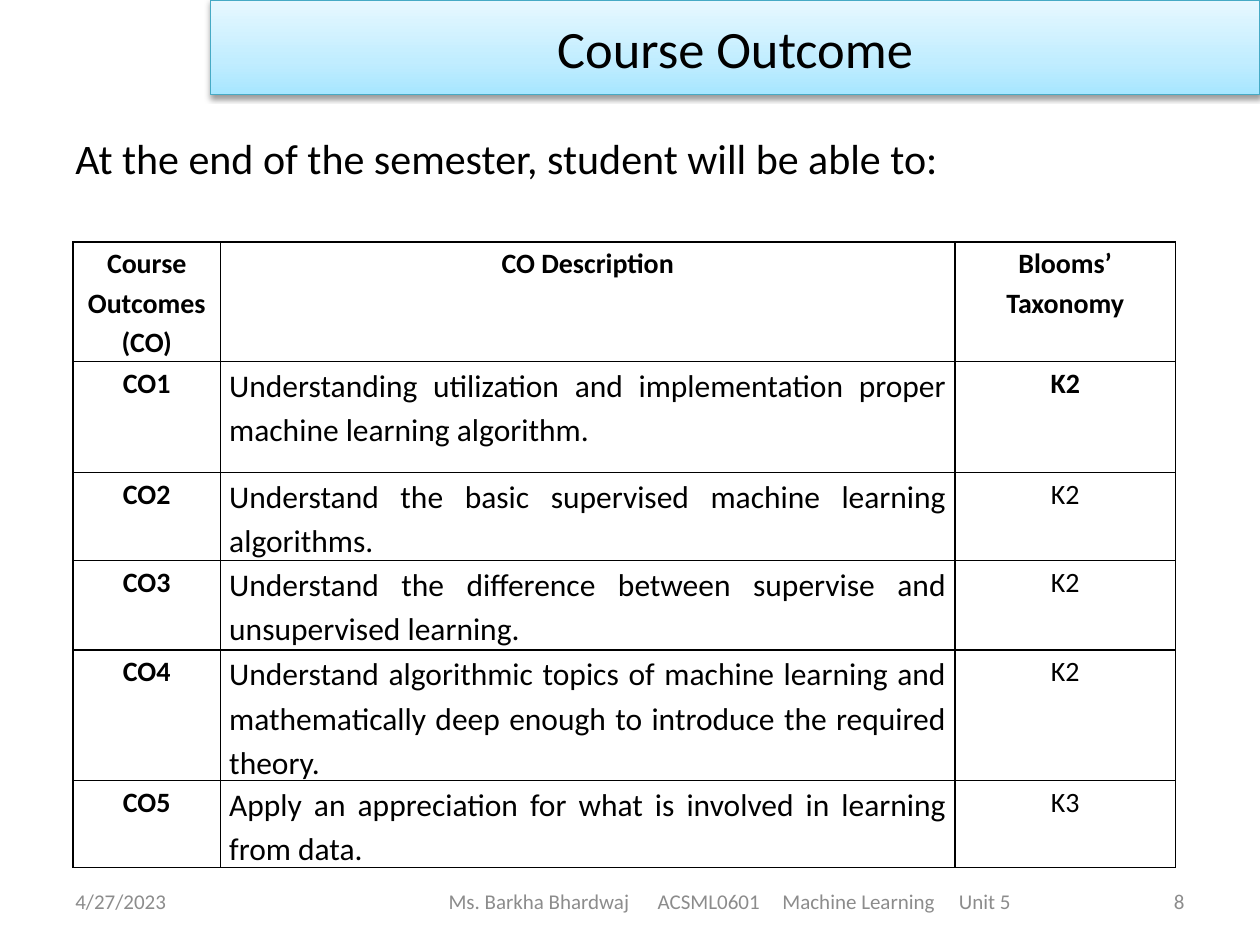
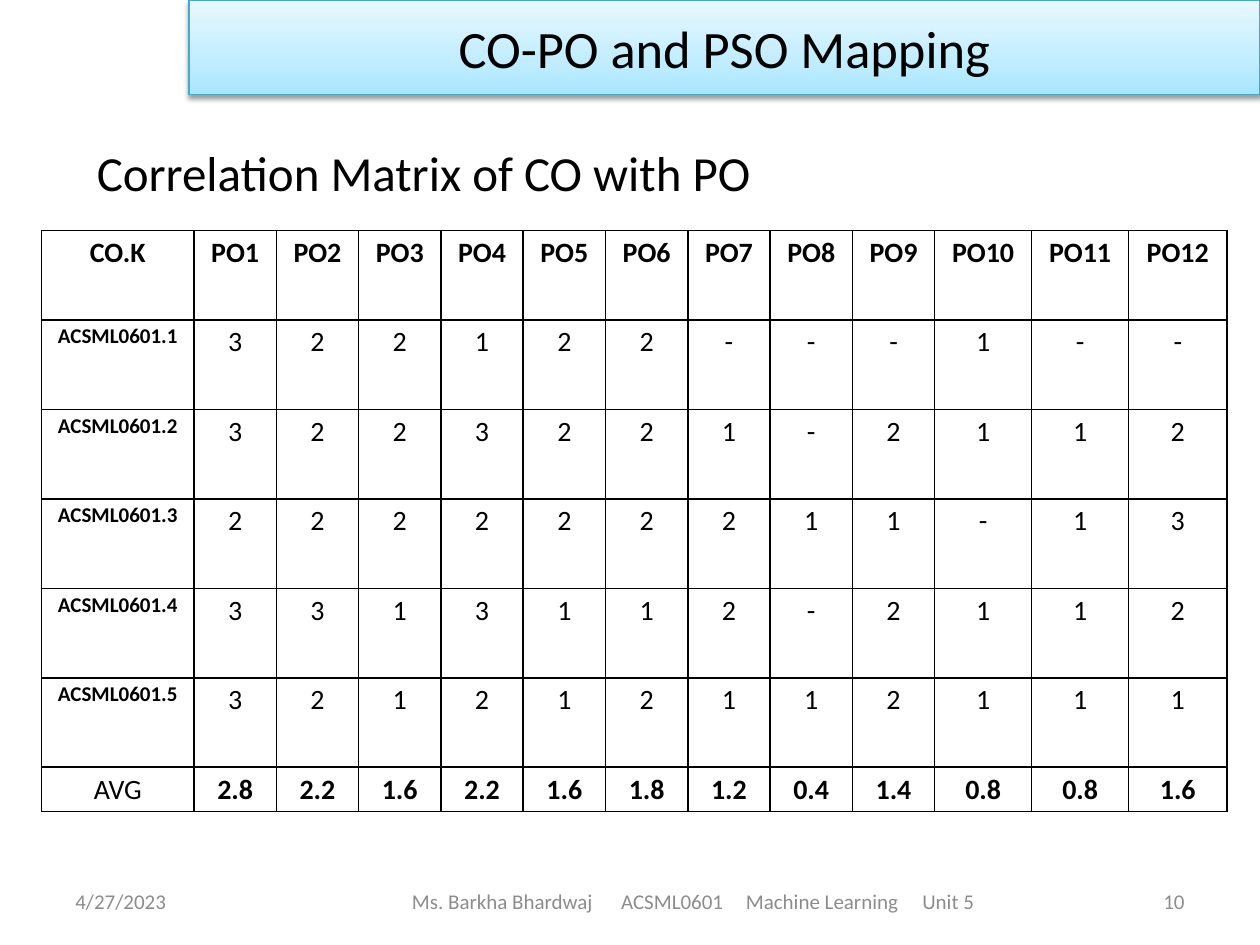
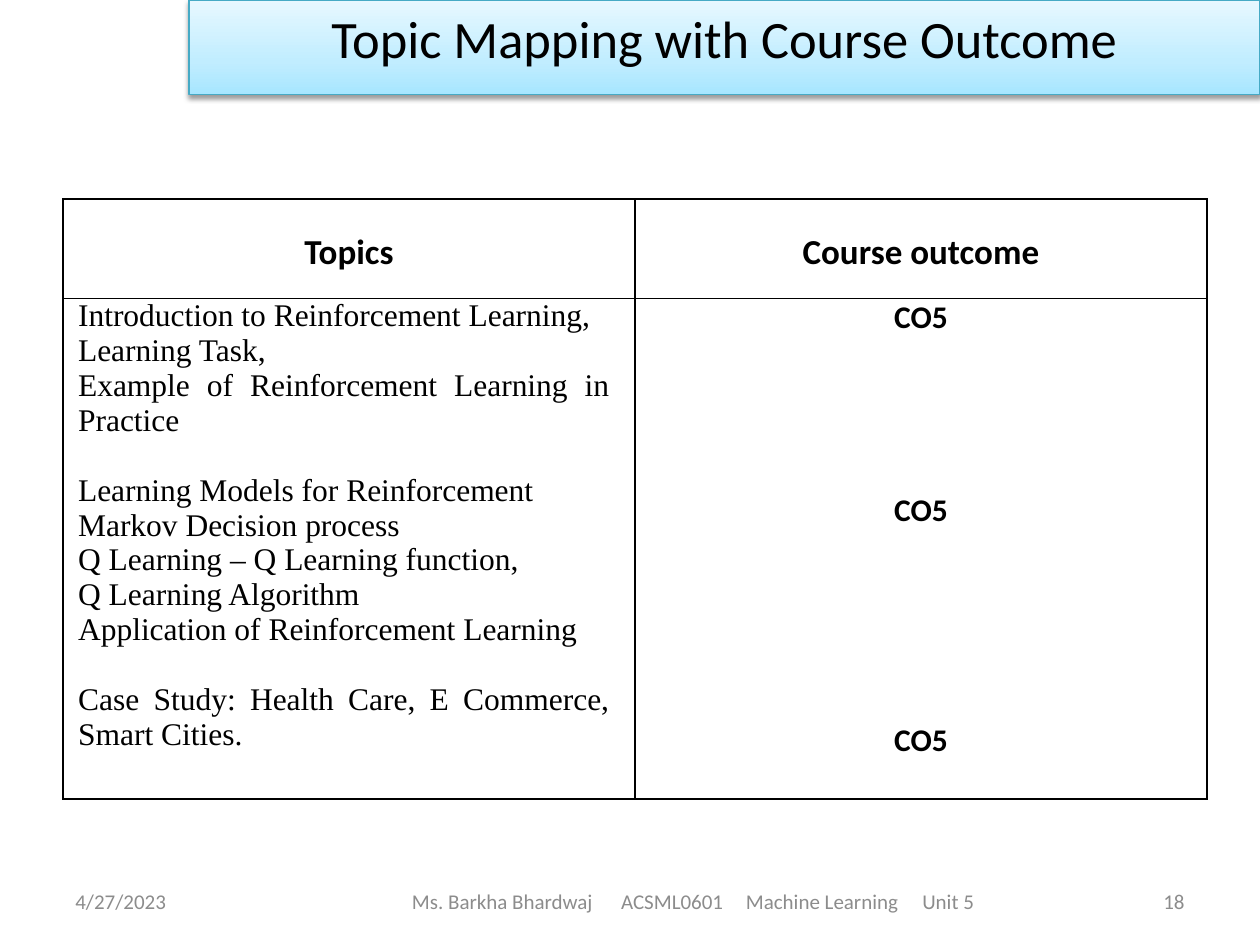
from copy import deepcopy
from dataclasses import dataclass

from lxml.etree import SubElement
from pptx import Presentation
from pptx.dml.color import RGBColor
from pptx.enum.shapes import MSO_SHAPE
from pptx.enum.text import MSO_ANCHOR, MSO_AUTO_SIZE, PP_ALIGN
from pptx.oxml.ns import qn
from pptx.util import Inches, Pt


# Theme
@dataclass(frozen=True)
class Theme:
    font: str = "Calibri"
    serif: str = "Times New Roman"
    text: str = "000000"
    muted: str = "8C8C8C"
    band_line: str = "46AAC5"
    band_stops: tuple = ((0, "A7E6FF"), (0.35, "C1EDFF"), (1, "E7F8FF"))
    title_size: int = 30
    subtitle_size: int = 28
    lead_size: int = 24
    heading_size: int = 20
    body_size: int = 18
    table_size: int = 16
    small_size: int = 12


THEME = Theme()
DATE = "4/27/2023"
FOOTER = ("Ms. Barkha Bhardwaj", "ACSML0601", "Machine Learning", "Unit 5")
FOOTER_TABS = (1.66, 2.65, 4.05)
FOOTER_LENGTH = 4.46


@dataclass(frozen=True)
class Entry:
    """Text of one table cell; gaps maps a line number to the space before it."""
    lines: tuple
    size: int = THEME.table_size
    bold: bool = False
    align: PP_ALIGN = PP_ALIGN.CENTER
    font: str = THEME.font
    spacing: float = 1.15
    anchor: MSO_ANCHOR = MSO_ANCHOR.TOP
    insets: tuple = (0.07, 0.07)
    gaps: tuple = ()


class SlideBuilder:
    def __init__(self, theme):
        self.theme = theme
        self.deck = Presentation()
        self.deck.slide_width = Inches(10)
        self.deck.slide_height = Inches(7.5)
        self.page = None

    def new_page(self, number, title, band_left, anchor=MSO_ANCHOR.MIDDLE,
                 footer_left=2.75, footer_width=5.5):
        self.page = self.deck.slides.add_slide(self.deck.slide_layouts[6])
        self.footer(number, footer_left, footer_width)
        self.band(title, band_left, anchor)

    def span(self, para, text, size, color=None, bold=False, font=None):
        span = para.add_run()
        span.text = text
        span.font.name = font or self.theme.font
        span.font.size = Pt(size)
        span.font.bold = bold
        span.font.color.rgb = RGBColor.from_string(color or self.theme.text)

    def text(self, text, left, top, width, height, size, color=None,
             align=PP_ALIGN.LEFT, grow=False):
        box = self.page.shapes.add_textbox(
            Inches(left), Inches(top), Inches(width), Inches(height))
        frame = box.text_frame
        frame.word_wrap = True
        frame.vertical_anchor = MSO_ANCHOR.MIDDLE
        if grow:
            frame.auto_size = MSO_AUTO_SIZE.SHAPE_TO_FIT_TEXT
        para = frame.paragraphs[0]
        para.alignment = align
        self.span(para, text, size, color)
        return frame

    def footer(self, number, left, width):
        style = (self.theme.small_size, self.theme.muted)
        self.text(DATE, 0.5, 6.95, 2.33, 0.4, *style)
        self.text(str(number), 7.17, 6.95, 2.33, 0.4, *style, PP_ALIGN.RIGHT)
        frame = self.text("\t".join(FOOTER), left, 6.95, width, 0.4, *style)
        # Tab stops set the gaps; the inset centres the whole line
        frame.margin_left = Inches((width - FOOTER_LENGTH) / 2)
        properties = frame.paragraphs[0]._p.get_or_add_pPr()
        tabs = SubElement(properties, qn("a:tabLst"))
        for stop in FOOTER_TABS:
            SubElement(tabs, qn("a:tab"), pos=str(Inches(stop)), algn="l")

    def band(self, title, left, anchor):
        band = self.page.shapes.add_shape(
            MSO_SHAPE.RECTANGLE, Inches(left), 0, Inches(10 - left), Inches(0.75))
        band.line.color.rgb = RGBColor.from_string(self.theme.band_line)
        band.line.width = Pt(0.75)
        # Three-stop gradient, running upwards
        band.fill.gradient()
        band.fill.gradient_angle = 90
        first = band._element.spPr.find(".//" + qn("a:gs"))
        first.addnext(deepcopy(first))
        for stop, (position, color) in zip(band.fill.gradient_stops,
                                           self.theme.band_stops):
            stop.position = position
            stop.color.rgb = RGBColor.from_string(color)
        # Soft shadow below
        band.shadow.inherit = False
        effects = band._element.spPr.find(qn("a:effectLst"))
        shadow = SubElement(effects, qn("a:outerShdw"), blurRad=str(Pt(3.1)),
                            dist=str(Pt(1.6)), dir="5400000", rotWithShape="0")
        color = SubElement(shadow, qn("a:srgbClr"), val=self.theme.text)
        SubElement(color, qn("a:alpha"), val="38000")
        frame = band.text_frame
        frame.word_wrap = True
        frame.vertical_anchor = anchor
        para = frame.paragraphs[0]
        para.alignment = PP_ALIGN.CENTER
        self.span(para, title, self.theme.title_size)

    def table(self, left, top, widths, heights, rows):
        table = self.page.shapes.add_table(
            len(heights), len(widths), Inches(left), Inches(top),
            Inches(sum(widths)), Inches(sum(heights))).table
        table.first_row = table.horz_banding = False
        for column, width in zip(table.columns, widths):
            column.width = Inches(width)
        for row, height, entries in zip(table.rows, heights, rows):
            row.height = Inches(height)
            for cell, entry in zip(row.cells, entries):
                self.cell(cell, entry)

    def cell(self, cell, entry):
        cell.margin_left, cell.margin_right = map(Inches, entry.insets)
        cell.margin_top = cell.margin_bottom = 0
        cell.vertical_anchor = entry.anchor
        properties = cell._tc.get_or_add_tcPr()
        for side in ("lnL", "lnR", "lnT", "lnB"):
            line = SubElement(properties, qn("a:" + side), w=str(Pt(1)))
            fill = SubElement(line, qn("a:solidFill"))
            SubElement(fill, qn("a:srgbClr"), val=self.theme.text)
        cell.fill.background()
        gaps = dict(entry.gaps)
        frame = cell.text_frame
        for index, line in enumerate(entry.lines):
            para = frame.add_paragraph() if index else frame.paragraphs[0]
            para.alignment = entry.align
            para.line_spacing = entry.spacing
            if index in gaps:
                para.space_before = Pt(gaps[index])
            self.span(para, line, entry.size, bold=entry.bold, font=entry.font)


def course_outcome(builder):
    builder.new_page(8, "Course Outcome", 1.67, footer_left=2, footer_width=7.58)
    builder.text("At the end of the semester, student will be able to:",
                 0.5, 1, 9.5, 0.5, THEME.lead_size, grow=True)
    outcomes = [
        ("Understanding utilization and implementation proper machine learning "
         "algorithm.", "K2"),
        ("Understand the basic supervised machine learning algorithms.", "K2"),
        ("Understand the difference between supervise and unsupervised learning.",
         "K2"),
        ("Understand algorithmic topics of machine learning and mathematically "
         "deep enough to introduce the required theory.", "K2"),
        ("Apply an appreciation for what is involved in learning from data.", "K3"),
    ]
    headings = ("Course Outcomes (CO)", "CO Description", "Blooms’ Taxonomy")
    rows = [[Entry((heading,), bold=True) for heading in headings]]
    for number, (description, level) in enumerate(outcomes, 1):
        rows.append([
            Entry((f"CO{number}",), bold=True),
            Entry((description,), THEME.body_size, align=PP_ALIGN.JUSTIFY),
            Entry((level,), bold=number == 1),
        ])
    builder.table(0.58, 1.92, (1.17, 5.83, 1.75),
                  (0.95, 0.88, 0.7, 0.71, 1.03, 0.68), rows)


def correlation_matrix(builder):
    builder.new_page(10, "CO-PO and PSO Mapping", 1.5)
    builder.text("Correlation Matrix of CO with PO", 0.67, 1.08, 9.42, 0.57,
                 THEME.subtitle_size, grow=True)
    # One character per programme outcome
    levels = ("322122---1--", "3223221-2112", "222222211-13",
              "3313112-2112", "321212112111")
    averages = "2.8 2.2 1.6 2.2 1.6 1.8 1.2 0.4 1.4 0.8 0.8 1.6".split()
    headings = ["CO.K"] + [f"PO{number}" for number in range(1, 13)]
    rows = [[Entry((heading,), bold=True) for heading in headings]]
    for number, values in enumerate(levels, 1):
        code = Entry((f"ACSML0601.{number}",), THEME.small_size, bold=True)
        rows.append([code] + [Entry((value,)) for value in values])
    rows.append([Entry(("AVG",))]
                + [Entry((average,), bold=True) for average in averages])
    widths = [1.21] + [5.88 / 9] * 9 + [0.77, 0.77, 0.78]
    builder.table(0.33, 1.83, widths, [0.71] * 6 + [0.35], rows)


def topic_mapping(builder):
    builder.new_page(18, "Topic Mapping with Course Outcome", 1.5, MSO_ANCHOR.TOP)
    headings = [Entry((heading,), THEME.heading_size, bold=True,
                      anchor=MSO_ANCHOR.MIDDLE)
                for heading in ("Topics", "Course outcome")]
    topics = (
        "Introduction to Reinforcement Learning,",
        "Learning Task,",
        "Example of Reinforcement Learning in Practice",
        "Learning Models for Reinforcement",
        "Markov Decision process",
        "Q Learning – Q Learning function,",
        "Q Learning Algorithm",
        "Application of Reinforcement Learning",
        "Case Study: Health Care, E Commerce, Smart Cities.",
    )
    body = [
        Entry(topics, THEME.body_size, align=PP_ALIGN.JUSTIFY, font=THEME.serif,
              spacing=1, insets=(0.12, 0.2), gaps=((3, 20), (8, 20))),
        Entry(("CO5",) * 3, THEME.body_size, bold=True, spacing=1,
              gaps=((1, 88), (2, 110))),
    ]
    builder.table(0.5, 1.58, (4.54, 4.54), (0.79, 3.97), [headings, body])


def main():
    builder = SlideBuilder(THEME)
    course_outcome(builder)
    correlation_matrix(builder)
    topic_mapping(builder)
    builder.deck.save("out.pptx")


if __name__ == "__main__":
    main()
